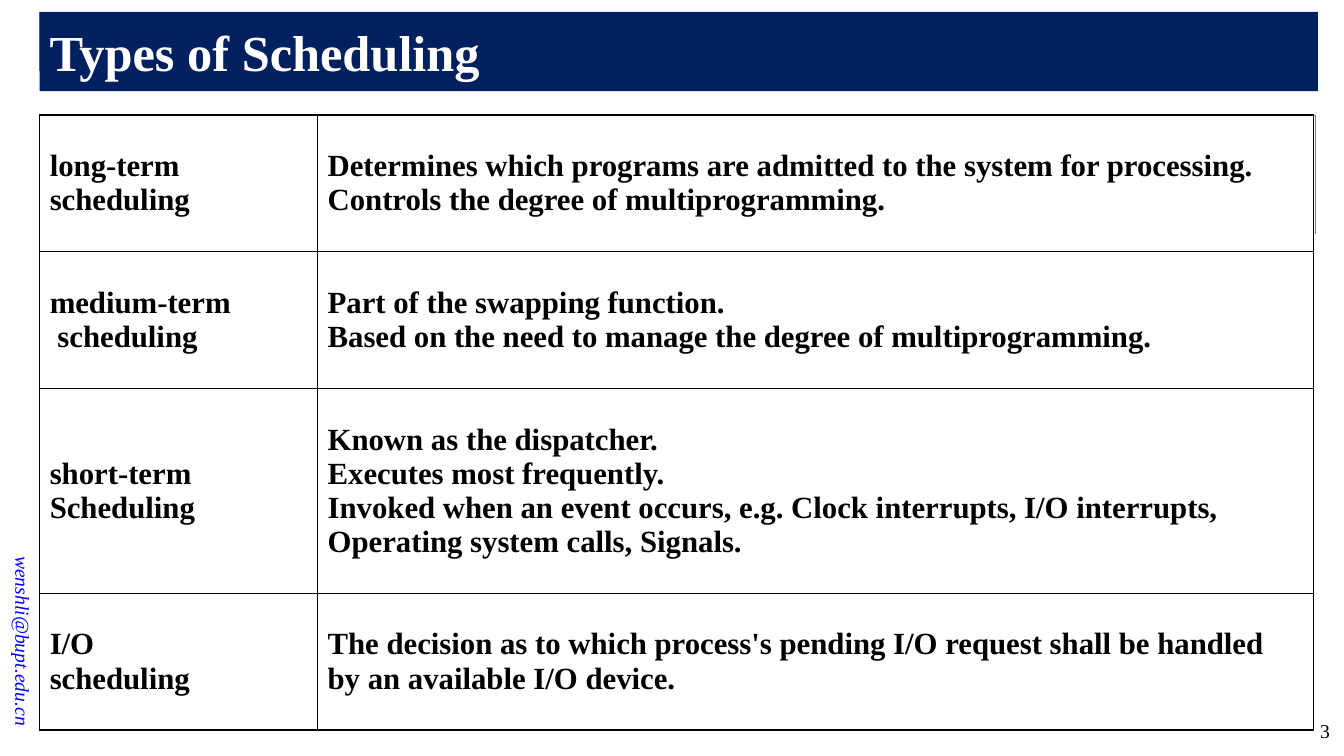
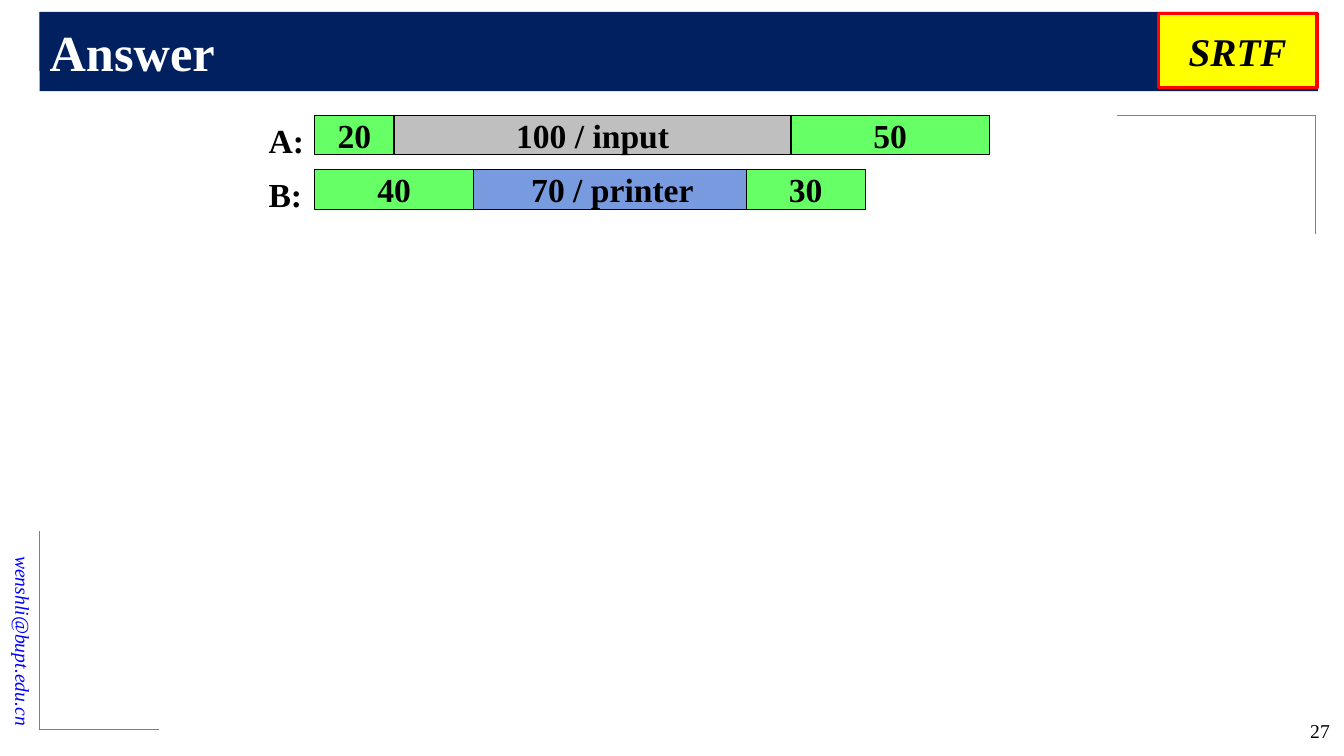
from lxml import etree
from pptx import Presentation
from pptx.dml.color import RGBColor
from pptx.enum.shapes import MSO_CONNECTOR, MSO_SHAPE
from pptx.enum.text import MSO_ANCHOR as Anchor, PP_ALIGN as Align
from pptx.oxml.ns import qn
from pptx.util import Pt

FONT = "Times New Roman"
NAVY = RGBColor(0x00, 0x20, 0x60)
WHITE = RGBColor(0xFF, 0xFF, 0xFF)
BLACK = RGBColor(0x00, 0x00, 0x00)
GRAY = RGBColor(0x80, 0x80, 0x80)
BLUE = RGBColor(0x00, 0x00, 0xFF)
RED = RGBColor(0xFF, 0x00, 0x00)
YELLOW = RGBColor(0xFF, 0xFF, 0x00)
CPU_GREEN = RGBColor(0x66, 0xFF, 0x66)
INPUT_GRAY = RGBColor(0xBF, 0xBF, 0xBF)
PRINTER_BLUE = RGBColor(0x78, 0x9A, 0xDE)

# Page frame, in points
WIDTH, HEIGHT = 960, 540
LEFT, TOP = 28.35, 8.5
RIGHT, BOTTOM = 939.7, 521.3
CONTENT_TOP = 82.2
LONG, MEDIUM, SHORT = 141.7, 85, 42.5

# Width of one time unit in the schedule
UNIT = 2.835

SCHEDULING_TYPES = [
    ("long-term\nscheduling",
     "Determines which programs are admitted to the system for processing.\n"
     "Controls the degree of multiprogramming.", 97.7),
    ("medium-term\n scheduling",
     "Part of the swapping function.\n"
     "Based on the need to manage the degree of multiprogramming.", 97.7),
    ("short-term\nScheduling",
     "Known as the dispatcher.\nExecutes most frequently.\n"
     "Invoked when an event occurs, e.g. Clock interrupts, I/O interrupts, "
     "Operating system calls, Signals.", 146.2),
    ("I/O\nscheduling",
     "The decision as to which process's pending I/O request shall be handled "
     "by an available I/O device.", 97.7),
]

# Bursts: start, length, label, colour
JOB_A = [(0, 20, "20", CPU_GREEN), (20, 100, "100 / input", INPUT_GRAY),
         (120, 50, "50", CPU_GREEN)]
JOB_B = [(0, 40, "40", CPU_GREEN), (40, 70, "70 / printer", PRINTER_BLUE),
         (108.7, 30, "30", CPU_GREEN)]


def write(frame, text, size=24, color=BLACK, bold=False, italic=False,
          align=Align.LEFT, anchor=Anchor.MIDDLE, wrap=True):
    frame.word_wrap = wrap
    frame.vertical_anchor = anchor
    for index, line in enumerate(text.split("\n")):
        paragraph = frame.paragraphs[0] if index == 0 else frame.add_paragraph()
        paragraph.alignment = align
        run = paragraph.add_run()
        run.text = line
        run.font.name, run.font.size = FONT, Pt(size)
        run.font.bold, run.font.italic = bold, italic
        run.font.color.rgb = color


def add_label(slide, box, text, **style):
    label = slide.shapes.add_textbox(*map(Pt, box))
    write(label.text_frame, text, **style)
    return label


def add_panel(slide, box, text, fill, outline=None, weight=0.75, **style):
    panel = slide.shapes.add_shape(MSO_SHAPE.RECTANGLE, *map(Pt, box))
    panel.shadow.inherit = False
    panel.fill.solid()
    panel.fill.fore_color.rgb = fill
    if outline is None:
        panel.line.fill.background()
    else:
        panel.line.color.rgb = outline
        panel.line.width = Pt(weight)
    write(panel.text_frame, text, **style)


def add_corner(slide, x, y, across, down):
    """Two thin lines that meet at (x, y)."""
    for end_x, end_y in ((x, y + down), (x + across, y)):
        edge = slide.shapes.add_connector(
            MSO_CONNECTOR.STRAIGHT, Pt(x), Pt(y), Pt(end_x), Pt(end_y))
        edge.line.color.rgb = GRAY
        edge.line.width = Pt(0.5)
        etree.SubElement(edge._element.spPr, qn("a:effectLst"))


def add_page(deck, title, number):
    slide = deck.slides.add_slide(deck.slide_layouts[6])
    # Side address
    address = add_label(slide, (-78.5, 418.3, 190, 24.5), "wenshli@bupt.edu.cn",
                        size=14, color=BLUE, italic=True, align=Align.RIGHT)
    address.rotation = 90
    # Corner lines
    add_corner(slide, LEFT, TOP, LONG, SHORT)
    add_corner(slide, LEFT, BOTTOM, MEDIUM, -LONG)
    add_corner(slide, RIGHT, CONTENT_TOP, -LONG, MEDIUM)
    # Title band and page number
    add_panel(slide, (LEFT, TOP, 913, 56.7), title, NAVY,
              size=36, color=WHITE, bold=True)
    add_label(slide, (877, 510, 80, 26), number, size=14,
              align=Align.RIGHT, anchor=Anchor.TOP)
    return slide


def draw_borders(cell):
    properties = cell._tc.get_or_add_tcPr()
    for side in ("a:lnL", "a:lnR", "a:lnT", "a:lnB"):
        border = etree.SubElement(properties, qn(side), w=str(Pt(1)))
        fill = etree.SubElement(border, qn("a:solidFill"))
        etree.SubElement(fill, qn("a:srgbClr"), val=str(BLACK))


def add_types_table(slide, box, rows, name_width):
    left, top, width, height = box
    table = slide.shapes.add_table(len(rows), 2, *map(Pt, box)).table
    table.first_row = table.horz_banding = False
    table.columns[0].width = Pt(name_width)
    table.columns[1].width = Pt(width - name_width)
    for row, (name, description, row_height) in zip(table.rows, rows):
        row.height = Pt(row_height)
        for cell, text in zip(row.cells, (name, description)):
            draw_borders(cell)
            cell.fill.background()
            write(cell.text_frame, text, size=22, bold=True)
            cell.vertical_anchor = Anchor.MIDDLE


def add_job(slide, left, top, name, bursts):
    for start, length, text, color in bursts:
        add_panel(slide, (left + start * UNIT, top, length * UNIT, 28.35), text,
                  color, outline=BLACK, bold=True, align=Align.CENTER)
    add_label(slide, (left - 40, top, 41, 36), name, bold=True, anchor=Anchor.TOP)


def build_types_slide(deck):
    slide = add_page(deck, "Types of Scheduling", "3")
    height = sum(row[2] for row in SCHEDULING_TYPES)
    add_types_table(slide, (LEFT, CONTENT_TOP, 910, height), SCHEDULING_TYPES, 198.5)


def build_answer_slide(deck):
    slide = add_page(deck, "Answer", "27")
    for index, (name, bursts) in enumerate((("A:", JOB_A), ("B:", JOB_B))):
        add_job(slide, 224.8, CONTENT_TOP + index * 38.8, name, bursts)
    # Algorithm badge
    add_panel(slide, (827.3, 9.9, 113.4, 52.9), "SRTF", YELLOW, outline=RED,
              weight=2.25, size=28, bold=True, italic=True,
              align=Align.CENTER, wrap=False)


def main():
    deck = Presentation()
    deck.slide_width, deck.slide_height = Pt(WIDTH), Pt(HEIGHT)
    build_types_slide(deck)
    build_answer_slide(deck)
    deck.save("out.pptx")


if __name__ == "__main__":
    main()
